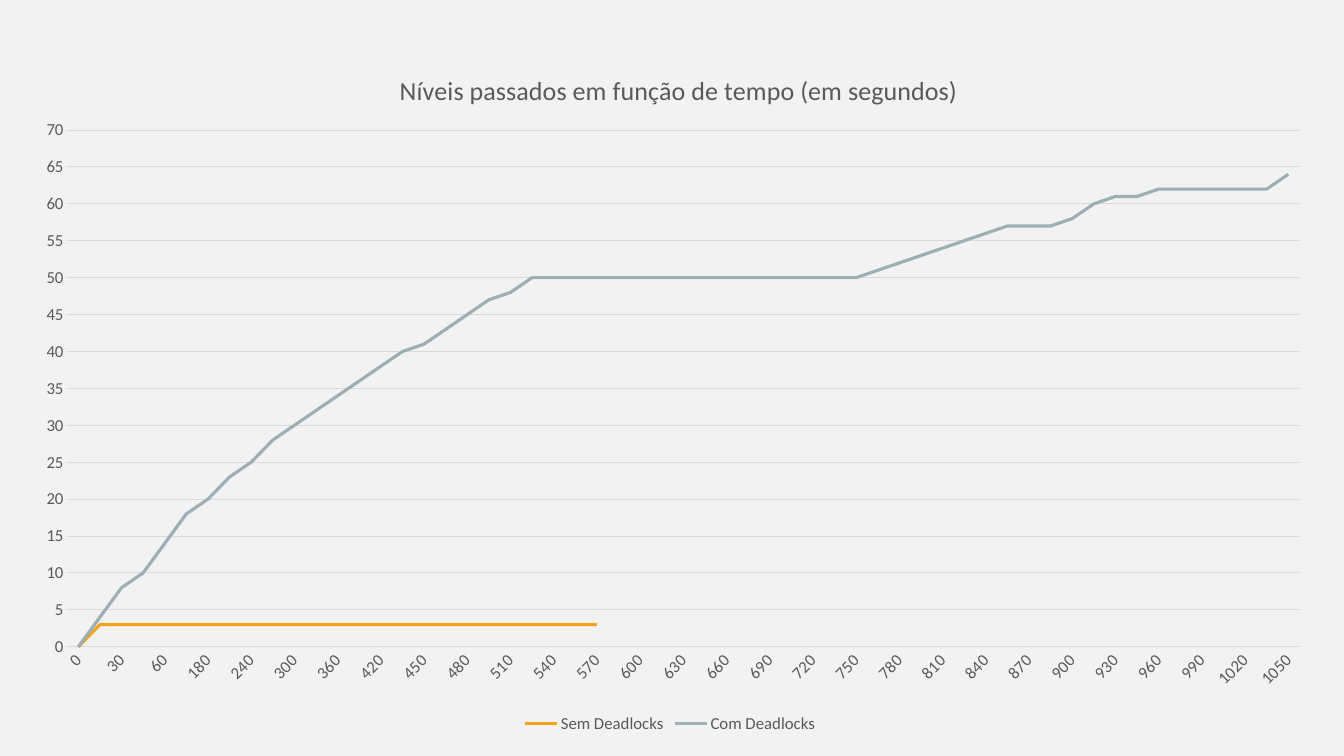
import dataclasses

import pptx
import pptx.chart.data
import pptx.dml.color
import pptx.enum.chart
import pptx.oxml
import pptx.oxml.ns
import pptx.util

Cm = pptx.util.Cm
Pt = pptx.util.Pt


@dataclasses.dataclass(frozen=True)
class Theme:
    background: str = "F2F2F2"
    text: str = "595959"
    grid: str = "D9D9D9"
    without_deadlocks: str = "F6A21D"
    with_deadlocks: str = "9BAFB5"
    font: str = "Calibri"
    title_size: float = 18.6
    label_size: float = 12
    grid_width: float = 0.75
    series_width: float = 2.25


THEME = Theme()

SECONDS = [*range(0, 61, 15), *range(150, 421, 30), *range(435, 1051, 15)]
LEVELS_WITHOUT = [0] + [3] * 24 + [None] * 32
LEVELS_WITH = [
    0, 4, 8, 10, 14, 18, 20, 23, 25, 28, 30, 32, 34, 36, 38, 40, 41, 43, 45, 47, 48,
    *[50] * 16,
    *range(51, 57), 57, 57, 57, 58, 60, 61, 61, *[62] * 6, 64,
]


def rgb(color):
    return pptx.dml.color.RGBColor.from_string(color)


def style_font(font, size):
    font.name = THEME.font
    font.size = Pt(size)
    font.bold = False
    font.color.rgb = rgb(THEME.text)


def style_line(line, color, width):
    line.color.rgb = rgb(color)
    line.width = Pt(width)


def manual_layout(**settings):
    namespace = pptx.oxml.ns.nsdecls("c")
    entries = "".join(f'<c:{key} val="{value}"/>' for key, value in settings.items())
    return pptx.oxml.parse_xml(
        f"<c:layout {namespace}><c:manualLayout>{entries}</c:manualLayout></c:layout>"
    )


def place(parent, layout, position):
    for previous in parent.findall(pptx.oxml.ns.qn("c:layout")):
        parent.remove(previous)
    parent.insert(position, layout)


def add_title(chart, wording):
    chart.has_title = True
    heading = chart.chart_title
    run = heading.text_frame.paragraphs[0].add_run()
    run.text = wording
    style_font(run.font, THEME.title_size)
    heading.include_in_layout = False
    place(heading._element, manual_layout(xMode="edge", yMode="edge", x=0.29, y=0.04), 1)


def style_axis(axis):
    axis.major_tick_mark = pptx.enum.chart.XL_TICK_MARK.NONE
    axis.minor_tick_mark = pptx.enum.chart.XL_TICK_MARK.NONE
    style_font(axis.tick_labels.font, THEME.label_size)


def style_time_axis(axis):
    style_axis(axis)
    style_line(axis.format.line, THEME.grid, THEME.grid_width)
    body = axis._element.txPr.find(pptx.oxml.ns.qn("a:bodyPr"))
    body.set("rot", "-2700000")
    body.set("vert", "horz")
    label_skip = pptx.oxml.parse_xml(
        f'<c:tickLblSkip {pptx.oxml.ns.nsdecls("c")} val="2"/>'
    )
    axis._element.find(pptx.oxml.ns.qn("c:noMultiLvlLbl")).addprevious(label_skip)


def style_level_axis(axis):
    style_axis(axis)
    axis.minimum_scale = 0
    axis.maximum_scale = 70
    axis.major_unit = 5
    axis.format.line.fill.background()
    axis.has_major_gridlines = True
    style_line(axis.major_gridlines.format.line, THEME.grid, THEME.grid_width)


def add_legend(chart):
    chart.has_legend = True
    chart.legend.position = pptx.enum.chart.XL_LEGEND_POSITION.BOTTOM
    chart.legend.include_in_layout = False
    style_font(chart.legend.font, THEME.label_size)


def add_levels_chart(slide):
    levels = pptx.chart.data.CategoryChartData()
    levels.categories = [str(second) for second in SECONDS]
    levels.add_series("Sem Deadlocks", LEVELS_WITHOUT)
    levels.add_series("Com Deadlocks", LEVELS_WITH)
    chart = slide.shapes.add_chart(
        pptx.enum.chart.XL_CHART_TYPE.LINE,
        Cm(0.38), Cm(0.99), Cm(33.02), Cm(17.6), levels,
    ).chart
    style_font(chart.font, THEME.label_size)
    add_title(chart, "Níveis passados em função de tempo (em segundos)")
    style_time_axis(chart.category_axis)
    style_level_axis(chart.value_axis)
    add_legend(chart)

    plot = chart.plots[0]
    plot.vary_by_categories = False
    for series, color in zip(plot.series, (THEME.without_deadlocks, THEME.with_deadlocks)):
        series.smooth = False
        style_line(series.format.line, color, THEME.series_width)

    plot_area = chart._chartSpace.chart.plotArea
    plot_layout = manual_layout(
        layoutTarget="inner", xMode="edge", yMode="edge", x=0.04, y=0.13, w=0.94, h=0.74
    )
    place(plot_area, plot_layout, 0)


def main():
    deck = pptx.Presentation()
    deck.slide_width = Cm(33.87)
    deck.slide_height = Cm(19.05)
    slide = deck.slides.add_slide(deck.slide_layouts[6])
    slide.background.fill.solid()
    slide.background.fill.fore_color.rgb = rgb(THEME.background)
    add_levels_chart(slide)
    deck.save("out.pptx")


main()
